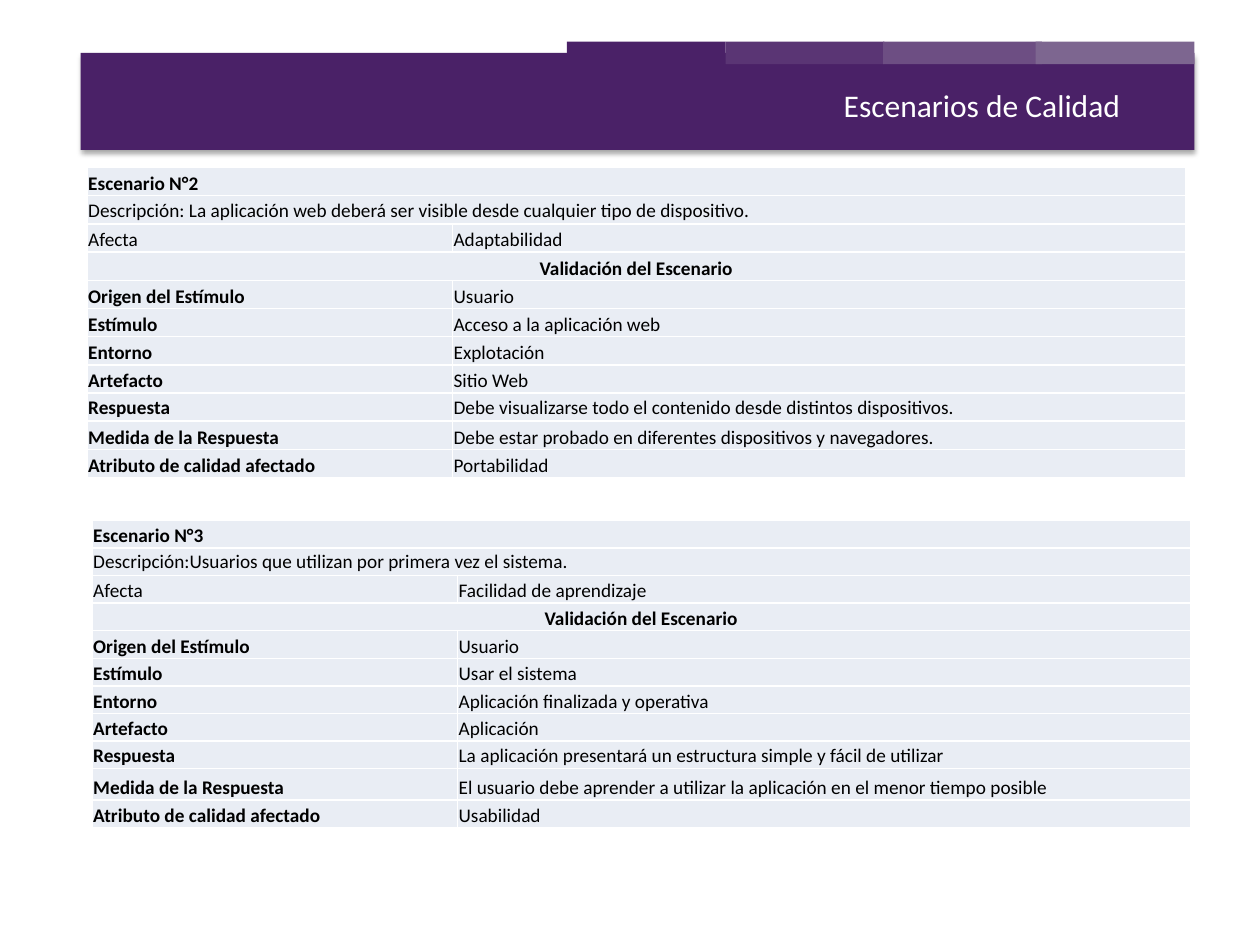
from dataclasses import dataclass

from lxml.etree import SubElement
from pptx import Presentation
from pptx.dml.color import RGBColor
from pptx.enum.shapes import MSO_SHAPE as SHAPE
from pptx.enum.text import MSO_ANCHOR as ANCHOR, PP_ALIGN as ALIGN
from pptx.oxml.ns import qn
from pptx.util import Inches, Pt


@dataclass(frozen=True)
class Theme:
    font: str = "Calibri"
    title_size: int = 18
    cell_size: int = 11
    banner: str = "4A2167"
    tabs: tuple = ("4A2167", "5A3574", "6D4E83", "7D6690")
    cell: str = "E9EDF4"
    light: str = "FFFFFF"
    text: str = "000000"


THEME = Theme()
TAB_LEFTS = (4.5, 5.76, 7.01, 8.22)
COLUMNS = (2.9, 5.82)
LABELS = ("Origen del Estímulo", "Estímulo", "Entorno", "Artefacto",
          "Respuesta", "Medida de la Respuesta",
          "Atributo de calidad afectado")
VALIDATION = "Validación del Escenario"

SCENARIO_2 = (
    "Escenario N°2",
    "Descripción: La aplicación web deberá ser visible desde cualquier tipo de dispositivo.",
    "Adaptabilidad",
    ("Usuario", "Acceso a la aplicación web", "Explotación", "Sitio Web",
     "Debe visualizarse todo el contenido desde distintos dispositivos.",
     "Debe estar probado en diferentes dispositivos y navegadores.",
     "Portabilidad"),
)
SCENARIO_3 = (
    "Escenario N°3",
    "Descripción:Usuarios que utilizan por primera vez el sistema.",
    "Facilidad de aprendizaje",
    ("Usuario", "Usar el sistema", "Aplicación finalizada y operativa",
     "Aplicación",
     "La aplicación presentará un estructura simple y fácil de utilizar",
     "El usuario debe aprender a utilizar la aplicación en el menor tiempo posible",
     "Usabilidad"),
)


def rgb(color):
    return RGBColor.from_string(color)


def style_paragraph(p, size, color, align=ALIGN.LEFT, bold=False):
    p.alignment = align
    p.font.name = THEME.font
    p.font.size = Pt(size)
    p.font.bold = bold
    p.font.color.rgb = rgb(color)


def add_rect(s, left, top, width, height, color):
    sp = s.shapes.add_shape(SHAPE.RECTANGLE, Inches(left), Inches(top),
                            Inches(width), Inches(height))
    sp.shadow.inherit = False
    sp.fill.solid()
    sp.fill.fore_color.rgb = rgb(color)
    sp.line.fill.background()
    return sp


def add_shadow(sp):
    effects = sp._element.spPr.find(qn("a:effectLst"))
    shadow = SubElement(effects, qn("a:outerShdw"), blurRad=str(Pt(3.1)),
                        dist=str(Pt(1.8)), dir="5400000", rotWithShape="0")
    color = SubElement(shadow, qn("a:srgbClr"), val=THEME.text)
    SubElement(color, qn("a:alpha"), val="35000")


def add_banner(s):
    add_shadow(add_rect(s, 0.64, 0.42, 8.84, 0.77, THEME.banner))
    for left, color in zip(TAB_LEFTS, THEME.tabs):
        add_rect(s, left, 0.33, 1.26, 0.18, color)


def set_title(s, text):
    sp = s.shapes.title
    s.shapes._spTree.append(sp._element)
    sp.left, sp.top = Inches(5.44), Inches(0.63)
    sp.width, sp.height = Inches(3.55), Inches(0.4)
    tf = sp.text_frame
    tf.text = text
    tf.word_wrap = True
    tf.vertical_anchor = ANCHOR.TOP
    style_paragraph(tf.paragraphs[0], THEME.title_size, THEME.light, ALIGN.RIGHT)


def set_borders(cell):
    tc_pr = cell._tc.get_or_add_tcPr()
    for side in ("lnL", "lnR", "lnT", "lnB"):
        line = SubElement(tc_pr, qn(f"a:{side}"), w=str(Pt(1)))
        fill = SubElement(line, qn("a:solidFill"))
        SubElement(fill, qn("a:srgbClr"), val=THEME.light)


def format_cell(cell, anchor):
    set_borders(cell)
    cell.fill.solid()
    cell.fill.fore_color.rgb = rgb(THEME.cell)
    cell.vertical_anchor = anchor
    cell.margin_left = cell.margin_right = cell.margin_top = Inches(0.01)
    cell.margin_bottom = 0


def write_cell(cell, text, bold=False, align=ALIGN.LEFT):
    cell.text = text
    style_paragraph(cell.text_frame.paragraphs[0], THEME.cell_size,
                    THEME.text, align, bold)


def add_scenario(s, left, top, height, scenario, measure_height=None):
    name, description, affects, values = scenario
    full_rows = {0: (name, True, ALIGN.LEFT),
                 1: (description, False, ALIGN.JUSTIFY),
                 3: (VALIDATION, True, ALIGN.CENTER)}
    count = 4 + len(LABELS)
    response = 4 + LABELS.index("Respuesta")
    measure = 4 + LABELS.index("Medida de la Respuesta")
    table = s.shapes.add_table(count, 2, Inches(left), Inches(top),
                               Inches(sum(COLUMNS)), Inches(height)).table
    table.first_row = table.horz_banding = False
    for column, width in zip(table.columns, COLUMNS):
        column.width = Inches(width)
    if measure_height:
        for row in table.rows:
            row.height = Inches((height - measure_height) / (count - 1))
        table.rows[measure].height = Inches(measure_height)

    for i in range(count):
        for j in range(2):
            format_cell(table.cell(i, j),
                        ANCHOR.MIDDLE if i in (1, response) else ANCHOR.BOTTOM)
    for i, (text, bold, align) in full_rows.items():
        table.cell(i, 0).merge(table.cell(i, 1))
        write_cell(table.cell(i, 0), text, bold, align)
    write_cell(table.cell(2, 0), "Afecta")
    write_cell(table.cell(2, 1), affects)
    for i, (label, value) in enumerate(zip(LABELS, values), start=4):
        write_cell(table.cell(i, 0), label, bold=True)
        write_cell(table.cell(i, 1), value)


def main():
    prs = Presentation()
    prs.slide_width, prs.slide_height = Inches(10), Inches(7.5)
    s = prs.slides.add_slide(prs.slide_layouts[5])
    add_banner(s)
    set_title(s, "Escenarios de Calidad")
    add_scenario(s, 0.69, 1.33, 2.46, SCENARIO_2)
    add_scenario(s, 0.73, 4.13, 2.44, SCENARIO_3, measure_height=0.25)
    prs.save("out.pptx")


if __name__ == "__main__":
    main()
